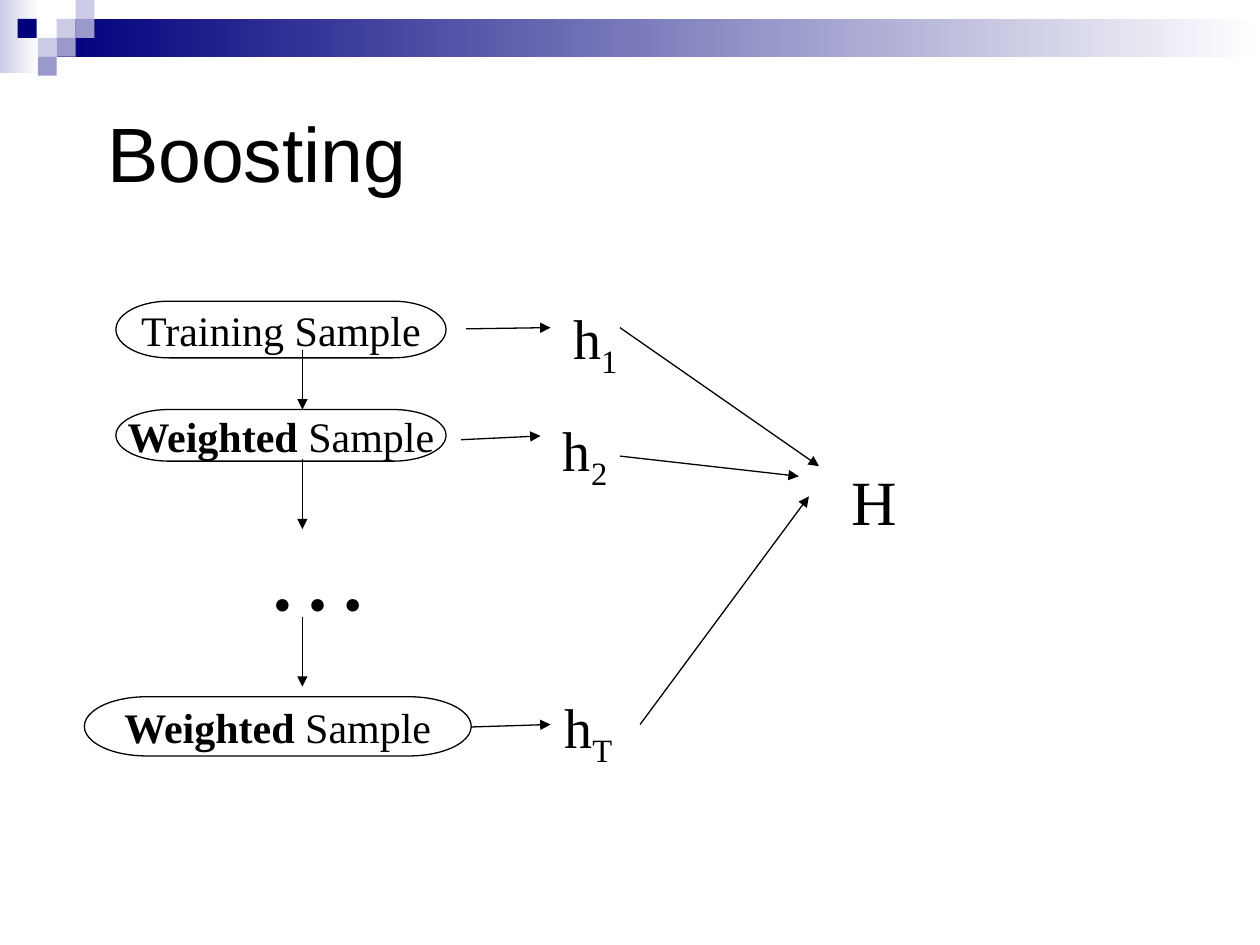
from lxml.etree import SubElement
from pptx import Presentation
from pptx.dml.color import RGBColor
from pptx.enum.shapes import MSO_CONNECTOR, MSO_SHAPE
from pptx.enum.text import MSO_ANCHOR, MSO_AUTO_SIZE, PP_ALIGN
from pptx.oxml.ns import qn
from pptx.util import Inches, Pt

BLACK = RGBColor(0x00, 0x00, 0x00)
WHITE = RGBColor(0xFF, 0xFF, 0xFF)
NAVY = RGBColor(0x00, 0x00, 0x7D)
LILAC = RGBColor(0xCC, 0xCC, 0xE6)
VIOLET = RGBColor(0x99, 0x99, 0xCC)
BODY_FONT = "Times New Roman"
TITLE_FONT = "Arial"
SQUARE = 0.15


def add_run(paragraph, text, size, font=BODY_FONT, bold=False, subscript=False):
    run = paragraph.add_run()
    run.text = text
    run.font.name = font
    run.font.size = Pt(size)
    run.font.bold = bold
    run.font.color.rgb = BLACK
    if subscript:
        run.font._element.set("baseline", "-25000")


def add_block(slide, left, top, width, height, color, fades=False):
    """Borderless header rectangle, optionally fading to white on the right."""
    shape = slide.shapes.add_shape(
        MSO_SHAPE.RECTANGLE, Inches(left), Inches(top), Inches(width), Inches(height))
    shape.shadow.inherit = False
    shape.line.fill.background()
    if fades:
        shape.fill.gradient()
        shape.fill.gradient_angle = 0
        for stop, stop_color in zip(shape.fill.gradient_stops, (color, WHITE)):
            stop.color.rgb = stop_color
    else:
        shape.fill.solid()
        shape.fill.fore_color.rgb = color


def add_header(slide):
    add_block(slide, 0, 0, 0.31, 0.58, LILAC, fades=True)
    add_block(slide, 0.45, 0.15, 9.55, 0.3, NAVY, fades=True)
    squares = [
        (0.45, 0.15, LILAC), (0.6, 0, LILAC), (0.6, 0.15, VIOLET), (0.3, 0.3, LILAC),
        (0.14, 0.15, NAVY), (0.45, 0.3, VIOLET), (0.3, 0.45, VIOLET),
    ]
    for left, top, color in squares:
        add_block(slide, left, top, SQUARE, SQUARE, color)


def add_title(slide, text):
    title = slide.shapes.title
    title.left, title.top = Inches(0.75), Inches(0.58)
    title.width, title.height = Inches(8.5), Inches(1.25)
    frame = title.text_frame
    frame.auto_size = MSO_AUTO_SIZE.NONE
    frame.vertical_anchor = MSO_ANCHOR.MIDDLE
    paragraph = frame.paragraphs[0]
    paragraph.alignment = PP_ALIGN.LEFT
    add_run(paragraph, text, 44, font=TITLE_FONT)


def add_sample(slide, left, top, width, height, first_word, bold):
    """Outlined terminator that names one sample; returns its text frame."""
    shape = slide.shapes.add_shape(
        MSO_SHAPE.FLOWCHART_TERMINATOR,
        Inches(left), Inches(top), Inches(width), Inches(height))
    shape.shadow.inherit = False
    shape.fill.background()
    shape.line.color.rgb = BLACK
    shape.line.width = Pt(0.75)
    frame = shape.text_frame
    frame.word_wrap = False
    frame.vertical_anchor = MSO_ANCHOR.MIDDLE
    paragraph = frame.paragraphs[0]
    paragraph.alignment = PP_ALIGN.CENTER
    add_run(paragraph, first_word, 24, bold=bold)
    add_run(paragraph, " Sample", 24)
    return frame


def add_label(slide, left, top, width, height, text, size, subscript=""):
    box = slide.shapes.add_textbox(
        Inches(left), Inches(top), Inches(width), Inches(height))
    frame = box.text_frame
    frame.word_wrap = False
    paragraph = frame.paragraphs[0]
    add_run(paragraph, text, size)
    if subscript:
        add_run(paragraph, subscript, size, subscript=True)


def add_arrow(slide, start_x, start_y, end_x, end_y):
    arrow = slide.shapes.add_connector(
        MSO_CONNECTOR.STRAIGHT,
        Inches(start_x), Inches(start_y), Inches(end_x), Inches(end_y))
    arrow.line.color.rgb = BLACK
    arrow.line.width = Pt(0.75)
    SubElement(arrow.line._get_or_add_ln(), qn("a:tailEnd"), type="triangle")
    SubElement(arrow._element.spPr, qn("a:effectLst"))


def main():
    presentation = Presentation()
    presentation.slide_width = Inches(10)
    presentation.slide_height = Inches(7.5)
    slide = presentation.slides.add_slide(presentation.slide_layouts[5])

    add_header(slide)
    add_title(slide, "Boosting")

    # Samples, from the first to the last round
    add_sample(slide, 0.92, 2.39, 2.62, 0.45, "Training", bold=False)
    add_sample(slide, 0.92, 3.25, 2.62, 0.41, "Weighted", bold=True)
    last_frame = add_sample(slide, 0.67, 5.53, 3.07, 0.47, "Weighted", bold=True)
    last_frame.word_wrap = True
    last_frame.vertical_anchor = MSO_ANCHOR.TOP
    last_frame.paragraphs[0].line_spacing = 0.8
    add_label(slide, 2.01, 3.96, 1.03, 1.1, "…", 60)

    # Hypotheses and the combined result
    add_label(slide, 4.45, 2.36, 0.71, 0.71, "h", 32, subscript="1")
    add_label(slide, 4.37, 3.25, 0.83, 0.71, "h", 32, subscript="2")
    add_label(slide, 4.38, 5.45, 0.58, 0.71, "h", 32, subscript="T")
    add_label(slide, 6.66, 3.62, 0.56, 0.7, "H", 36)

    arrows = [
        # Sample to next sample
        (2.4, 2.78, 2.4, 3.25), (2.4, 3.64, 2.4, 4.2), (2.4, 4.9, 2.4, 5.45),
        # Sample to hypothesis
        (3.7, 2.61, 4.37, 2.6), (3.66, 3.49, 4.29, 3.46), (3.74, 5.77, 4.37, 5.75),
        # Hypothesis to combined result
        (4.92, 2.6, 6.5, 3.7), (4.92, 3.62, 6.34, 3.78), (5.08, 5.75, 6.42, 3.94),
    ]
    for ends in arrows:
        add_arrow(slide, *ends)

    presentation.save("out.pptx")


if __name__ == "__main__":
    main()
